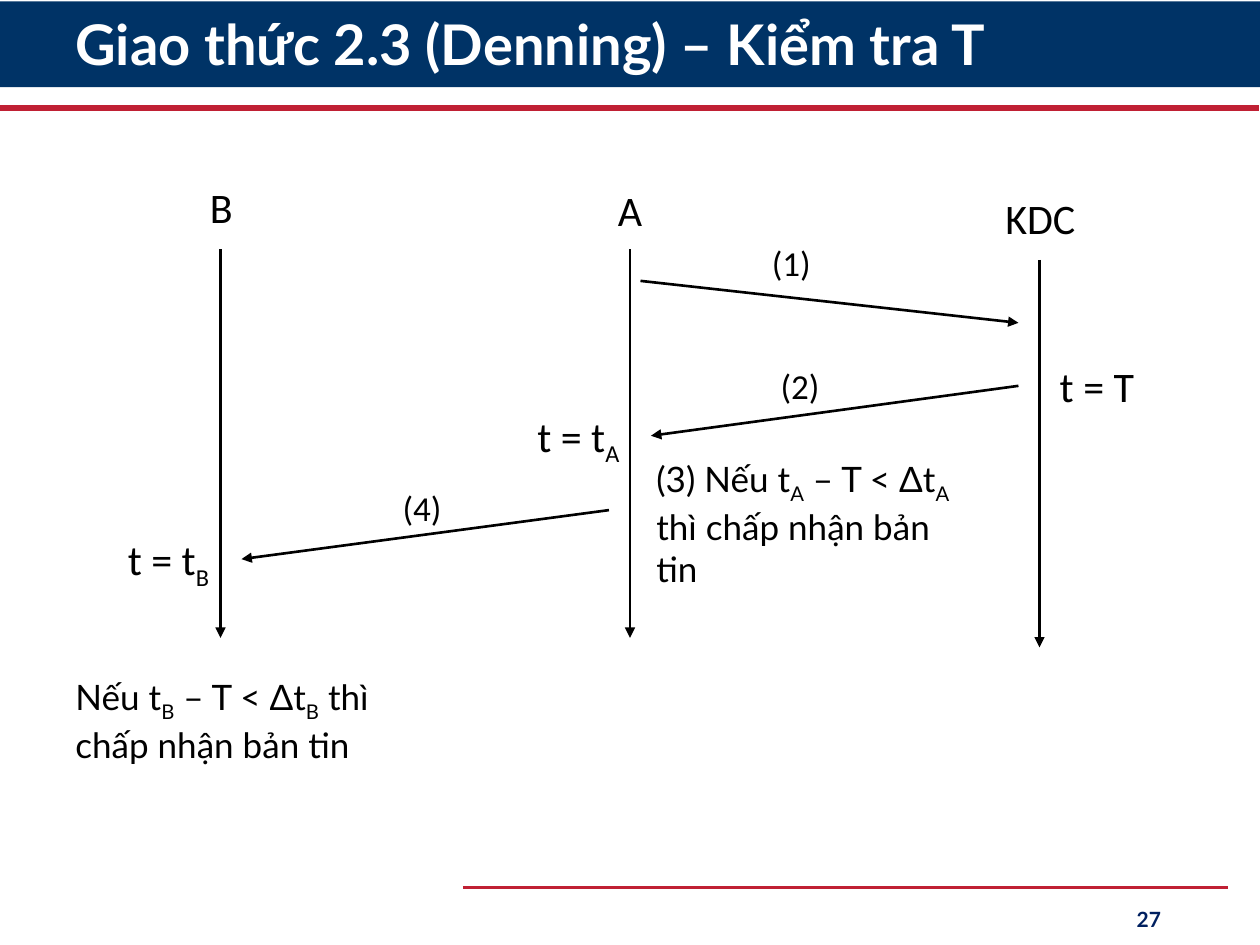
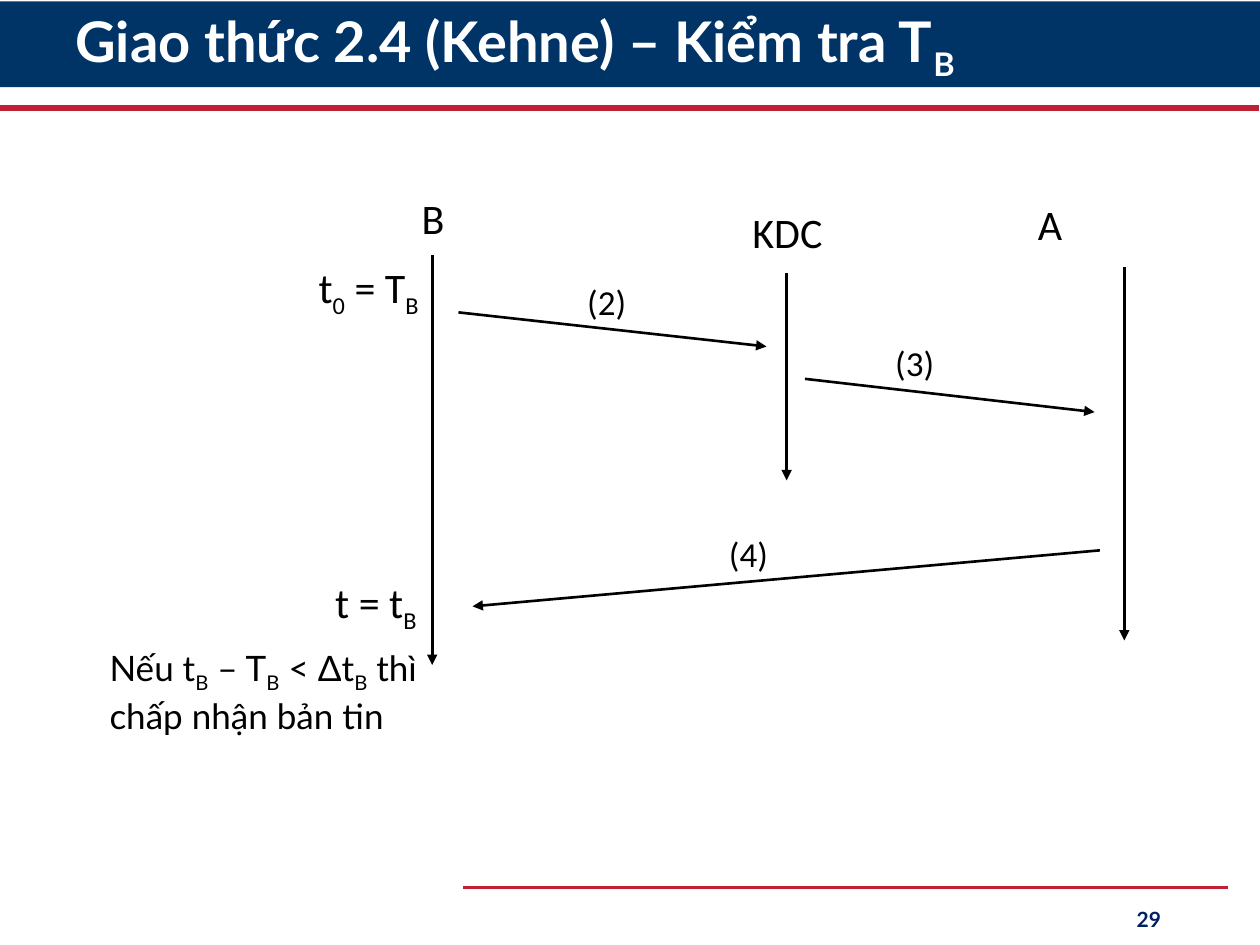
from dataclasses import dataclass
from lxml.etree import SubElement as Sub
from pptx import Presentation
from pptx.dml.color import RGBColor as Rgb
from pptx.enum.shapes import MSO_CONNECTOR as Conn, MSO_SHAPE as Form
from pptx.enum.text import MSO_ANCHOR as Anchor, PP_ALIGN as Align
from pptx.oxml.ns import qn
from pptx.util import Pt


@dataclass(frozen=True)
class Theme:
    navy: Rgb = Rgb(0x00, 0x33, 0x66)
    red: Rgb = Rgb(0xC0, 0x20, 0x34)
    ink: Rgb = Rgb(0, 0, 0)
    white: Rgb = Rgb(0xFF, 0xFF, 0xFF)
    page: Rgb = Rgb(0x00, 0x20, 0x60)
    title: int = 32
    label: int = 24
    body: int = 20
    foot: int = 12
    sans: str = "Calibri"
    lato: str = "Lato"


look = Theme()
styles = {
    "title": dict(
        font=dict(name=look.lato, size=Pt(look.title), bold=True), color=look.white,
        para=dict(line_spacing=0.9), frame=dict(vertical_anchor=Anchor.MIDDLE)),
    "page": dict(
        font=dict(name=look.lato, size=Pt(look.foot), bold=True), color=look.page,
        para=dict(alignment=Align.RIGHT), frame=dict(vertical_anchor=Anchor.MIDDLE)),
    "head": dict(
        font=dict(name=look.sans, size=Pt(look.label)), color=look.ink,
        para=dict(alignment=Align.CENTER), frame={}),
    "time": dict(
        font=dict(name=look.sans, size=Pt(look.label)), color=look.ink,
        para={}, frame={}),
    "step": dict(
        font=dict(name=look.sans, size=Pt(look.body)), color=look.ink,
        para={}, frame={}),
    "note": dict(
        font=dict(name=look.lato, size=Pt(look.body)), color=look.ink,
        para={}, frame={}),
}
sizes = {"head": (72, 36), "time": (80, 36), "step": (72, 31.5), "note": (198, 55.5)}


def write(slide, kind, text, x, y, w, h):
    style = styles[kind]
    frame = slide.shapes.add_textbox(Pt(x), Pt(y), Pt(w), Pt(h)).text_frame
    para = frame.paragraphs[0]
    for item, values in ((frame, style["frame"]), (para, style["para"])):
        for key, value in values.items():
            setattr(item, key, value)
    frame.word_wrap = True
    first, *rest = text.split("_")
    parts = [(first, False)]
    for part in rest:
        parts += [(part[0], True), (part[1:], False)]
    for words, low in parts:
        if not words:
            continue
        run = para.add_run()
        run.text = words
        for key, value in style["font"].items():
            setattr(run.font, key, value)
        run.font.color.rgb = style["color"]
        if low:
            run.font._element.set("baseline", "-25000")


def draw(slide, ends, color=look.ink, width=1.5, arrow=True):
    line = slide.shapes.add_connector(Conn.STRAIGHT, *[Pt(n) for n in ends])
    line.line.color.rgb = color
    line.line.width = Pt(width)
    if arrow:
        Sub(line.line._get_or_add_ln(), qn("a:tailEnd"), type="triangle")
    Sub(line._element.spPr, qn("a:effectLst"))


pages = [
    dict(
        title="Giao thức 2.3 (Denning) – Kiểm tra T", high=54, page="27",
        lives=[(126, 142.5, 364.5), (360, 142.5, 364.5), (594, 148.5, 370)],
        sends=[(366, 160.5, 582, 184.5), (582, 220.5, 372, 249),
               (348, 291.5, 138, 319.5)],
        texts=[("head", "B", 90.5, 100), ("head", "A", 324, 102),
               ("head", "KDC", 558.5, 106.5), ("time", "t = T", 598.5, 202.5),
               ("time", "t = t_A", 300, 231), ("time", "t = t_B", 66, 301.5),
               ("step", "(1)", 434, 134.5), ("step", "(2)", 439, 204.5),
               ("step", "(4)", 223, 274.5),
               ("note", "(3) Nếu t_A – T < Δt_A thì chấp nhận bản tin", 368, 258),
               ("note", "Nếu t_B – T < Δt_B thì chấp nhận bản tin", 36, 382.5)]),
    dict(
        title="Giao thức 2.4 (Kehne) – Kiểm tra T_B", high=48, page="29",
        lives=[(247, 146, 380), (449.5, 156, 274.5), (642.5, 152.5, 366)],
        sends=[(262, 178.5, 438, 198), (460, 216.5, 625.5, 235.5),
               (628.5, 314.5, 270, 346.5)],
        texts=[("head", "B", 211.5, 106.5), ("head", "KDC", 414, 114.5),
               ("head", "A", 564, 110), ("time", "t_0 = T_B", 175, 146),
               ("time", "t = t_B", 184.5, 326), ("step", "(2)", 328.5, 157),
               ("step", "(3)", 504.5, 191.5), ("step", "(4)", 409.5, 301),
               ("note", "Nếu t_B – T_B < Δt_B thì chấp nhận bản tin", 55.5, 366)]),
]

deck = Presentation()
deck.slide_width, deck.slide_height = Pt(720), Pt(540)

for page in pages:
    slide = deck.slides.add_slide(deck.slide_layouts[6])
    band = slide.shapes.add_shape(Form.RECTANGLE, 0, Pt(0.75), Pt(720), Pt(49))
    band.shadow.inherit = False
    band.fill.solid()
    band.fill.fore_color.rgb = look.navy
    band.line.fill.background()
    draw(slide, (0, 61.75, 719.5, 61.75), look.red, 3.5, False)
    draw(slide, (264.5, 507, 701.5, 507), look.red, 1.5, False)
    write(slide, "title", page["title"], 36, 0, 648, page["high"])
    write(slide, "page", page["page"], 508.5, 511, 162, 28.75)
    for x, top, end in page["lives"]:
        draw(slide, (x, top, x, end))
    for ends in page["sends"]:
        draw(slide, ends)
    for kind, text, x, y in page["texts"]:
        write(slide, kind, text, x, y, *sizes[kind])

deck.save("out.pptx")
